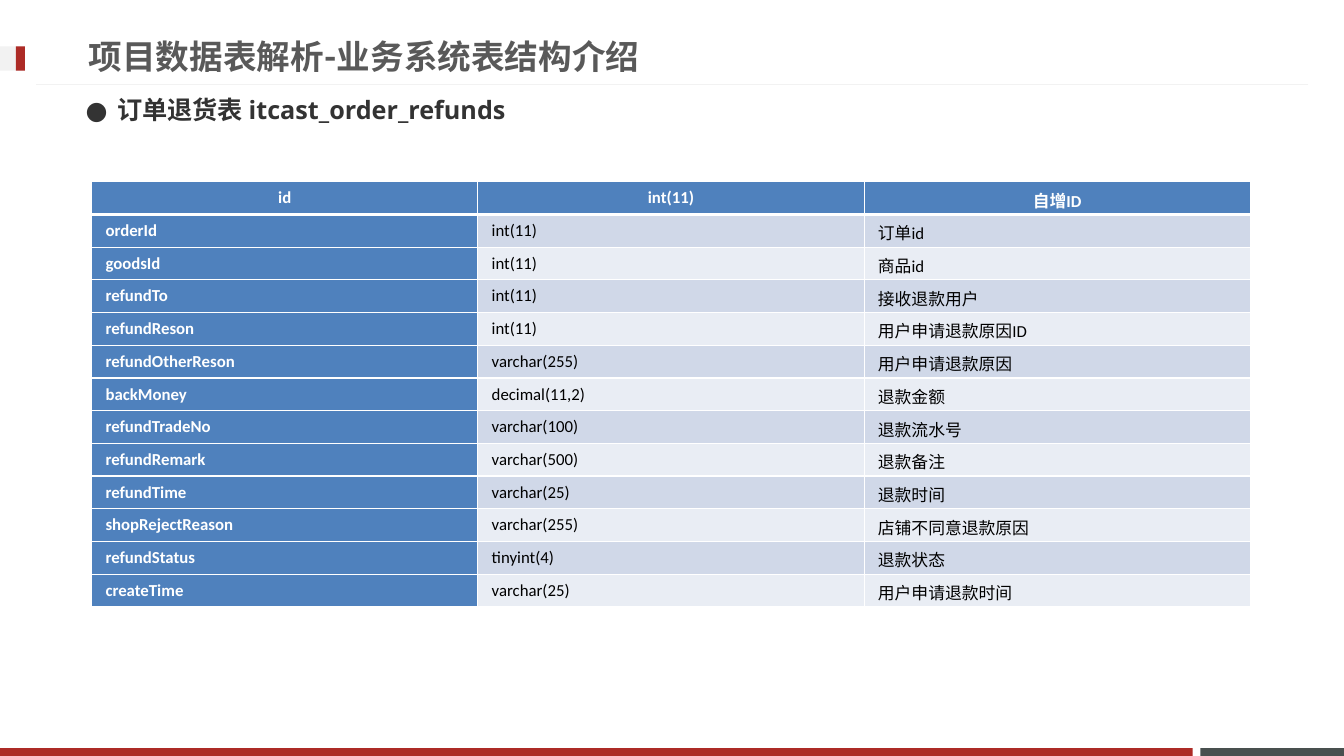
from lxml import etree
from pptx import Presentation
from pptx.dml.color import RGBColor
from pptx.enum.shapes import MSO_CONNECTOR, MSO_SHAPE
from pptx.enum.text import MSO_ANCHOR, MSO_AUTO_SIZE, PP_ALIGN
from pptx.oxml.ns import qn
from pptx.util import Cm, Pt

RECT = MSO_SHAPE.RECTANGLE
STRAIGHT = MSO_CONNECTOR.STRAIGHT
MIDDLE = MSO_ANCHOR.MIDDLE
NO_FIT = MSO_AUTO_SIZE.NONE
LEFT, CENTER = PP_ALIGN.LEFT, PP_ALIGN.CENTER

COLORS = {
    "red": "AD2B26", "slate": "49504F", "pale": "F2F2F2", "title": "595959",
    "text": "333333", "blue": "4F81BD", "band": "D0D8E8", "light": "E9EDF4",
    "white": "FFFFFF", "black": "000000",
}

ROWS = [
    ("id", "int(11)", "自增ID"),
    ("orderId", "int(11)", "订单id"),
    ("goodsId", "int(11)", "商品id"),
    ("refundTo", "int(11)", "接收退款用户"),
    ("refundReson", "int(11)", "用户申请退款原因ID"),
    ("refundOtherReson", "varchar(255)", "用户申请退款原因"),
    ("backMoney", "decimal(11,2)", "退款金额"),
    ("refundTradeNo", "varchar(100)", "退款流水号"),
    ("refundRemark", "varchar(500)", "退款备注"),
    ("refundTime", "varchar(25)", "退款时间"),
    ("shopRejectReason", "varchar(255)", "店铺不同意退款原因"),
    ("refundStatus", "tinyint(4)", "退款状态"),
    ("createTime", "varchar(25)", "用户申请退款时间"),
]


class SlideBuilder:
    """Holds the slide and its style, and adds each kind of element."""

    def __init__(self, prs):
        self.slide = prs.slides.add_slide(prs.slide_layouts[5])
        self.shapes = self.slide.shapes

    def color(self, name):
        return RGBColor.from_string(COLORS[name])

    def format(self, p, font, size, color, bold=True):
        for r in p.runs:
            r.font.name = font
            r.font.size = Pt(size)
            r.font.bold = bold
            r.font.color.rgb = self.color(color)

    def rect(self, x, y, w, h, color):
        sp = self.shapes.add_shape(RECT, Cm(x), Cm(y), Cm(w), Cm(h))
        sp.shadow.inherit = False
        sp.fill.solid()
        sp.fill.fore_color.rgb = self.color(color)
        sp.line.fill.background()

    def line(self, x1, y1, x2, y2, color):
        cxn = self.shapes.add_connector(STRAIGHT, Cm(x1), Cm(y1), Cm(x2), Cm(y2))
        cxn.line.color.rgb = self.color(color)
        cxn.line.width = Pt(0.75)
        etree.SubElement(cxn._element.spPr, qn("a:effectLst"))

    def title(self, text, x, y, w, h):
        sp = self.shapes.title
        sp.left, sp.top, sp.width, sp.height = Cm(x), Cm(y), Cm(w), Cm(h)
        tf = sp.text_frame
        tf.text = text
        tf.auto_size = NO_FIT
        tf.vertical_anchor = MIDDLE
        p = tf.paragraphs[0]
        p.alignment = LEFT
        self.format(p, "Roboto", 24, "title")

    def bullet(self, text, x, y, w, h):
        tf = self.shapes.add_textbox(Cm(x), Cm(y), Cm(w), Cm(h)).text_frame
        tf.word_wrap = True
        p = tf.paragraphs[0]
        p.text = text
        p.level = 3
        pPr = p._p.get_or_add_pPr()
        pPr.set("marL", str(Cm(4.6)))
        pPr.set("indent", str(Cm(-0.79)))
        etree.SubElement(pPr, qn("a:buFont"), typeface="Open Sans")
        etree.SubElement(pPr, qn("a:buChar"), char="●")
        self.format(p, "Open Sans", 18, "text")

    def border(self, cell, bottom):
        tcPr = cell._tc.get_or_add_tcPr()
        for side, width in (("L", 1), ("R", 1), ("T", 1), ("B", bottom)):
            ln = etree.SubElement(tcPr, qn(f"a:ln{side}"), w=str(Pt(width)))
            fill = etree.SubElement(ln, qn("a:solidFill"))
            etree.SubElement(fill, qn("a:srgbClr"), val=COLORS["white"])

    def cell(self, cell, text, row, col):
        header = row == 0
        strong = header or col == 0
        cell.margin_left = cell.margin_right = Cm(0.35)
        cell.margin_top = cell.margin_bottom = Cm(0.15)
        cell.vertical_anchor = MIDDLE
        self.border(cell, 3 if header or row == 1 and False else 1)
        cell.fill.solid()
        band = "band" if row % 2 else "light"
        cell.fill.fore_color.rgb = self.color("blue" if strong else band)
        cell.text = text
        p = cell.text_frame.paragraphs[0]
        p.alignment = CENTER if header else LEFT
        self.format(p, "Calibri", 12, "white" if strong else "black", strong)

    def table(self, rows, x, y, w, h):
        frame = self.shapes.add_table(len(rows), len(rows[0]), Cm(x), Cm(y), Cm(w), Cm(h))
        for i, row in enumerate(rows):
            for j, text in enumerate(row):
                self.cell(frame.table.cell(i, j), text, i, j)


def main():
    prs = Presentation()
    prs.slide_width, prs.slide_height = Cm(33.87), Cm(19.05)
    s = SlideBuilder(prs)
    s.rect(30.25, 18.85, 3.62, 0.2, "slate")
    s.rect(0, 18.85, 30.06, 0.2, "red")
    s.line(32.97, 2.13, 0.9, 2.13, "pale")
    s.rect(0, 1.17, 0.63, 0.61, "pale")
    s.rect(0.4, 1.17, 0.23, 0.61, "red")
    s.title("项目数据表解析-业务系统表结构介绍", 1.98, 0.69, 24.36, 1.45)
    s.bullet("订单退货表 itcast_order_refunds", -1.9, 2.26, 16.94, 1.02)
    s.table(ROWS, 2.31, 4.58, 29.2, 10.72)
    prs.save("out.pptx")


if __name__ == "__main__":
    main()
